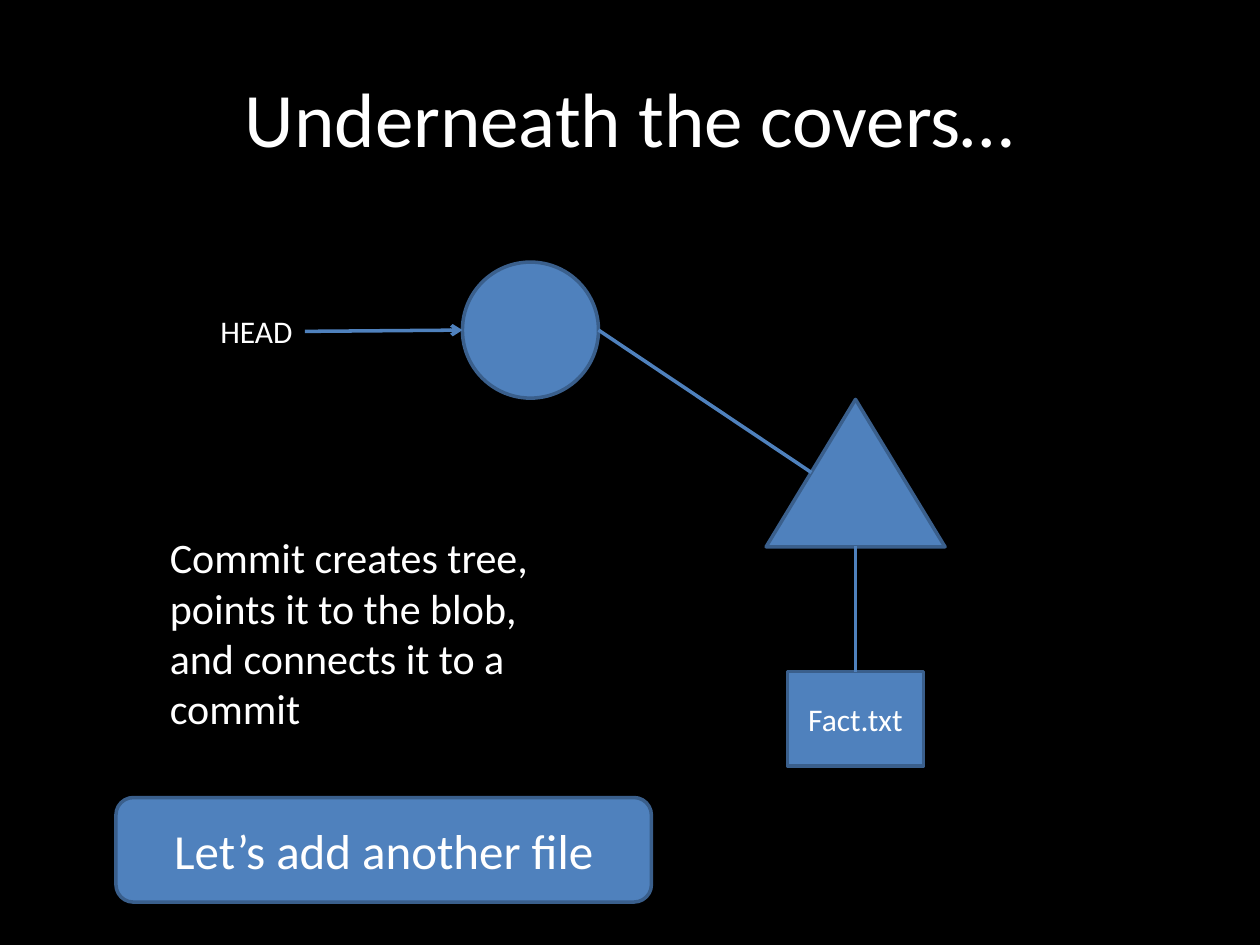
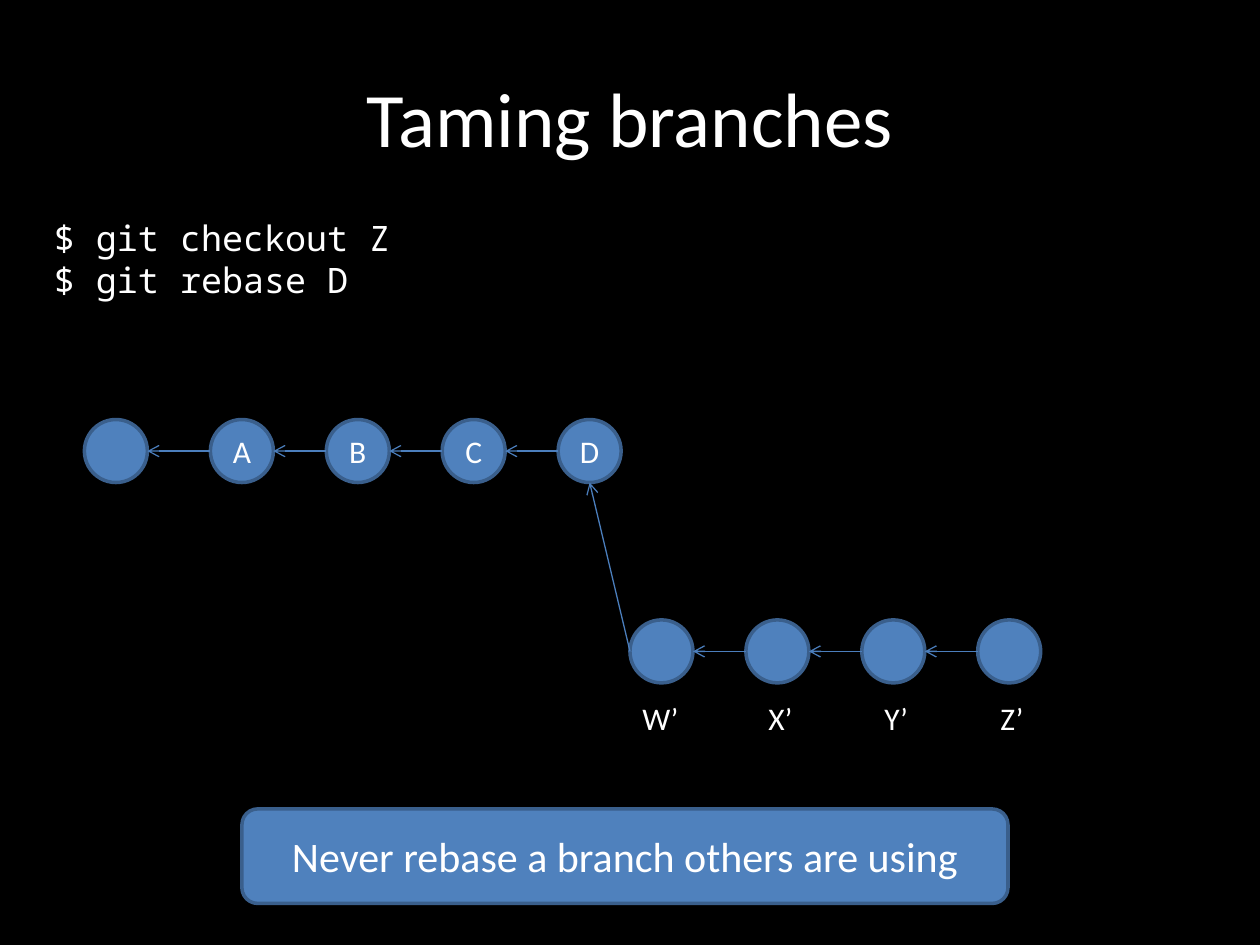
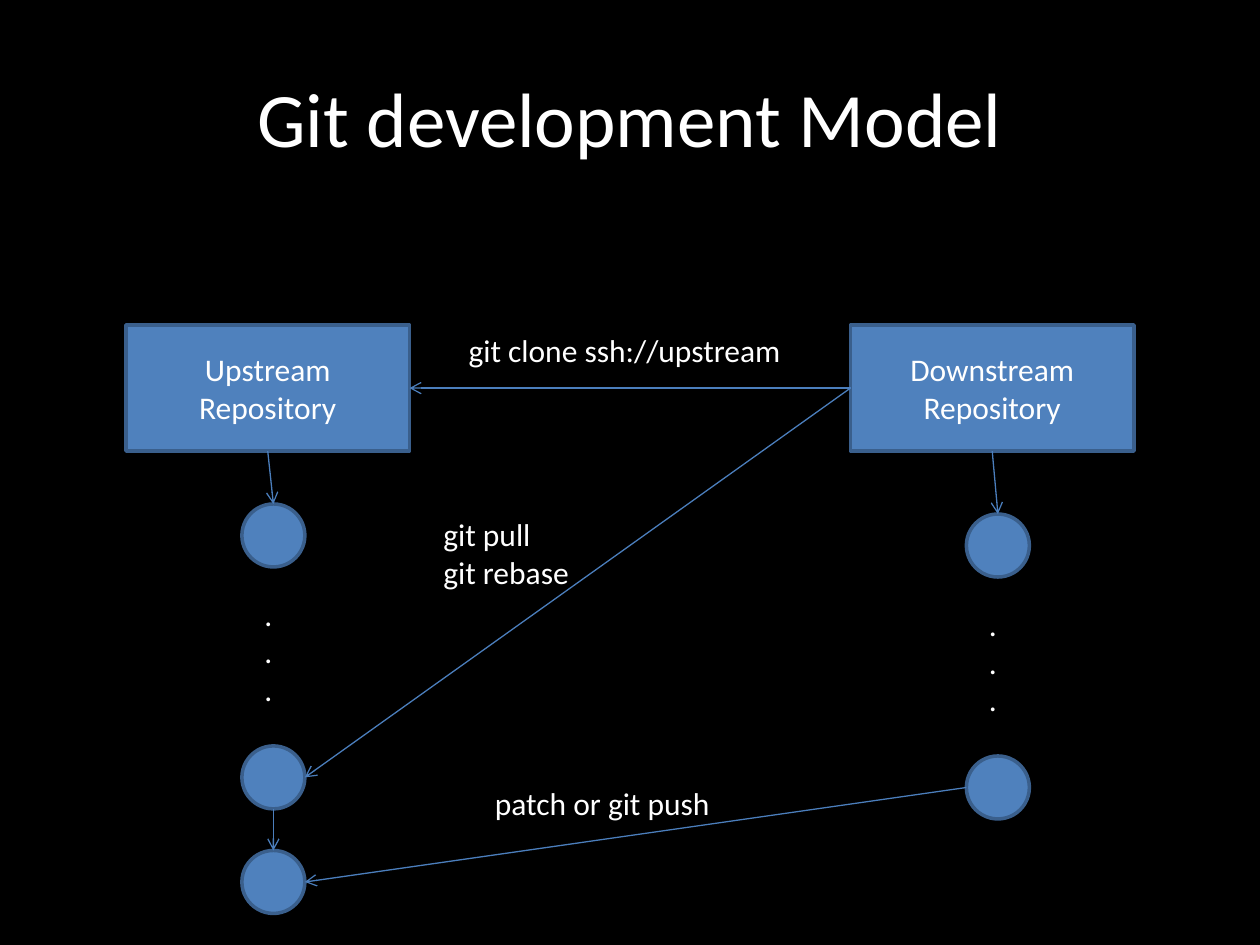
"""Builds three slides about how Git stores, rebases and shares commits."""
from dataclasses import dataclass
from typing import Optional

from lxml.etree import SubElement
from pptx import Presentation
from pptx.dml.color import RGBColor
from pptx.enum.shapes import MSO_CONNECTOR as Connector, MSO_SHAPE as Preset
from pptx.enum.text import MSO_ANCHOR as Anchor, MSO_AUTO_SIZE as AutoSize, PP_ALIGN as Align
from pptx.oxml.ns import qn
from pptx.presentation import Presentation as Deck
from pptx.shapes.autoshape import Shape
from pptx.slide import Slide
from pptx.text.text import TextFrame
from pptx.util import Inches, Pt

BLACK = RGBColor(0x00, 0x00, 0x00)
WHITE = RGBColor(0xFF, 0xFF, 0xFF)
BLUE = RGBColor(0x4F, 0x81, 0xBD)
OUTLINE = RGBColor(0x3A, 0x5F, 0x8C)
THIN_BLUE = RGBColor(0x4B, 0x7E, 0xBC)

BODY_FONT = "Calibri"
CODE_FONT = "Noto Sans Mono"
TITLE_ONLY = 5
TOP, LEFT, BOTTOM, RIGHT = range(4)

COMMIT_SIZE = 0.5
RADIUS = COMMIT_SIZE / 2
COMMIT_STEP = 0.92

Point = tuple[float, float]


@dataclass(frozen=True)
class Node:
    preset: Preset
    left: float
    top: float
    width: float
    height: float
    text: str = ""
    size: int = 18


@dataclass(frozen=True)
class Label:
    text: str
    left: float
    top: float
    width: float
    height: float = 0.4
    size: int = 18
    font: str = BODY_FONT
    align: Align = Align.LEFT
    wrap: bool = True


@dataclass(frozen=True)
class Joint:
    box: Shape
    side: int


@dataclass(frozen=True)
class Link:
    start: Point
    end: Point
    arrow: bool = True
    weight: float = 0.75
    color: RGBColor = THIN_BLUE
    start_joint: Optional[Joint] = None
    end_joint: Optional[Joint] = None


def write_text(frame: TextFrame, text: str, size: int, font: str, align: Align) -> None:
    frame.text = text
    for para in frame.paragraphs:
        para.alignment = align
        para.font.size = Pt(size)
        para.font.name = font
        para.font.color.rgb = WHITE


def add_slide(deck: Deck, title: str) -> Slide:
    slide = deck.slides.add_slide(deck.slide_layouts[TITLE_ONLY])
    box = slide.shapes.title
    box.left, box.top = Inches(0.5), Inches(0.3)
    box.width, box.height = Inches(9), Inches(1.25)
    box.text_frame.vertical_anchor = Anchor.MIDDLE
    write_text(box.text_frame, title, 44, BODY_FONT, Align.CENTER)
    return slide


def draw_node(slide: Slide, node: Node) -> Shape:
    shape = slide.shapes.add_shape(
        node.preset, Inches(node.left), Inches(node.top), Inches(node.width), Inches(node.height))
    shape.shadow.inherit = False
    shape.fill.solid()
    shape.fill.fore_color.rgb = BLUE
    shape.line.color.rgb = OUTLINE
    shape.line.width = Pt(2)
    if node.text:
        shape.text_frame.vertical_anchor = Anchor.MIDDLE
        write_text(shape.text_frame, node.text, node.size, BODY_FONT, Align.CENTER)
    return shape


def draw_commit(slide: Slide, left: float, top: float, name: str = "") -> None:
    draw_node(slide, Node(Preset.OVAL, left, top, COMMIT_SIZE, COMMIT_SIZE, name))


def draw_label(slide: Slide, label: Label) -> None:
    box = slide.shapes.add_textbox(
        Inches(label.left), Inches(label.top), Inches(label.width), Inches(label.height))
    frame = box.text_frame
    frame.word_wrap = label.wrap
    frame.auto_size = AutoSize.SHAPE_TO_FIT_TEXT
    write_text(frame, label.text, label.size, label.font, label.align)


def draw_link(slide: Slide, link: Link) -> None:
    line = slide.shapes.add_connector(
        Connector.STRAIGHT, *(Inches(value) for value in link.start + link.end))
    line.line.color.rgb = link.color
    line.line.width = Pt(link.weight)
    properties = line._element.spPr
    if link.arrow:
        SubElement(properties.find(qn("a:ln")), qn("a:tailEnd"), type="arrow")
    SubElement(properties, qn("a:effectLst"))
    if link.start_joint:
        line.begin_connect(link.start_joint.box, link.start_joint.side)
    if link.end_joint:
        line.end_connect(link.end_joint.box, link.end_joint.side)


def draw_chain(slide: Slide, lefts: list[float], top: float, names: str) -> None:
    for left, name in zip(lefts, names):
        draw_commit(slide, left, top, name.strip())
    middle = top + RADIUS
    for parent, child in zip(lefts, lefts[1:]):
        draw_link(slide, Link((child, middle), (parent + COMMIT_SIZE, middle)))


def build_covers(deck: Deck) -> None:
    slide = add_slide(deck, "Underneath the covers…")
    blob = draw_node(slide, Node(Preset.RECTANGLE, 6.25, 5.33, 1.08, 0.75, "Fact.txt"))
    draw_node(slide, Node(Preset.ISOSCELES_TRIANGLE, 6.08, 3.17, 1.42, 1.17))
    draw_link(slide, Link((6.79, 4.33), (6.79, 5.33), False, 2, BLUE, end_joint=Joint(blob, TOP)))
    draw_node(slide, Node(Preset.OVAL, 3.67, 2.08, 1.08, 1.08))
    draw_link(slide, Link((4.75, 2.62), (6.44, 3.75), False, 2, BLUE))
    draw_label(slide, Label("HEAD", 0.92, 2.43, 1.5, align=Align.RIGHT))
    draw_link(slide, Link((2.42, 2.63), (3.67, 2.62), True, 2, BLUE))
    draw_label(slide, Label("Commit creates tree, points it to the blob, and connects it to a commit",
                            1.25, 4.17, 3.5, 1.72, 24))
    draw_node(slide, Node(Preset.ROUNDED_RECTANGLE, 0.92, 6.33, 4.25, 0.83,
                          "Let’s add another file", 28))


def build_branches(deck: Deck) -> None:
    slide = add_slide(deck, "Taming branches")
    trunk_top, branch_top = 3.33, 4.92
    trunk = [0.67] + [1.67 + COMMIT_STEP * index for index in range(4)]
    branch = [5 + COMMIT_STEP * index for index in range(4)]
    draw_chain(slide, trunk, trunk_top, " ABCD")
    draw_chain(slide, branch, branch_top, " " * len(branch))
    draw_link(slide, Link((branch[0], branch_top + RADIUS),
                          (trunk[-1] + RADIUS, trunk_top + COMMIT_SIZE)))
    draw_label(slide, Label("$ git checkout Z\n$ git rebase D", 0.33, 1.67, 3.5, 0.77, 20, CODE_FONT))
    for name, left, indent in zip("WXYZ", branch, (0, 0.08, 0.08, 0.08)):
        draw_label(slide, Label(f"{name}’", left + indent, 5.5, 0.75))
    draw_node(slide, Node(Preset.ROUNDED_RECTANGLE, 1.92, 6.42, 6.08, 0.75,
                          "Never rebase a branch others are using", 24))


def draw_repository(slide: Slide, name: str, left: float, first_top: float) -> Shape:
    box = draw_node(slide, Node(Preset.RECTANGLE, left, 2.58, 2.25, 1, f"{name} Repository"))
    commit_left = left + 0.92
    for top in (first_top, first_top + 1.92):
        draw_commit(slide, commit_left, top)
    draw_link(slide, Link((left + 1.12, 3.58), (commit_left + RADIUS, first_top),
                          start_joint=Joint(box, BOTTOM)))
    draw_label(slide, Label(".\n.\n.", left + 1, first_top + 0.67, 0.42, 1.31))
    return box


def build_model(deck: Deck) -> None:
    slide = add_slide(deck, "Git development Model")
    upstream = draw_repository(slide, "Upstream", 1, 4)
    downstream = draw_repository(slide, "Downstream", 6.75, 4.08)
    draw_commit(slide, 1.92, 6.75)
    source = Joint(downstream, LEFT)
    for link in (
        Link((6.75, 3.08), (3.25, 3.08), start_joint=source, end_joint=Joint(upstream, RIGHT)),
        Link((6.75, 3.08), (2.42, 6.17), start_joint=source),
        Link((2.17, 6.42), (2.17, 6.75)),
        Link((7.67, 6.25), (2.42, 7)),
    ):
        draw_link(slide, link)
    for label in (
        Label("git clone ssh://upstream", 3.62, 2.58, 2.71, wrap=False),
        Label("git pull\ngit rebase", 3.42, 4.04, 1.21, 0.71, wrap=False),
        Label("patch or git push", 3.83, 6.17, 1.93, wrap=False),
    ):
        draw_label(slide, label)


def main() -> None:
    deck = Presentation()
    deck.slide_width, deck.slide_height = Inches(10), Inches(7.5)
    background = deck.slide_master.background.fill
    background.solid()
    background.fore_color.rgb = BLACK
    build_covers(deck)
    build_branches(deck)
    build_model(deck)
    deck.save("out.pptx")


if __name__ == "__main__":
    main()
